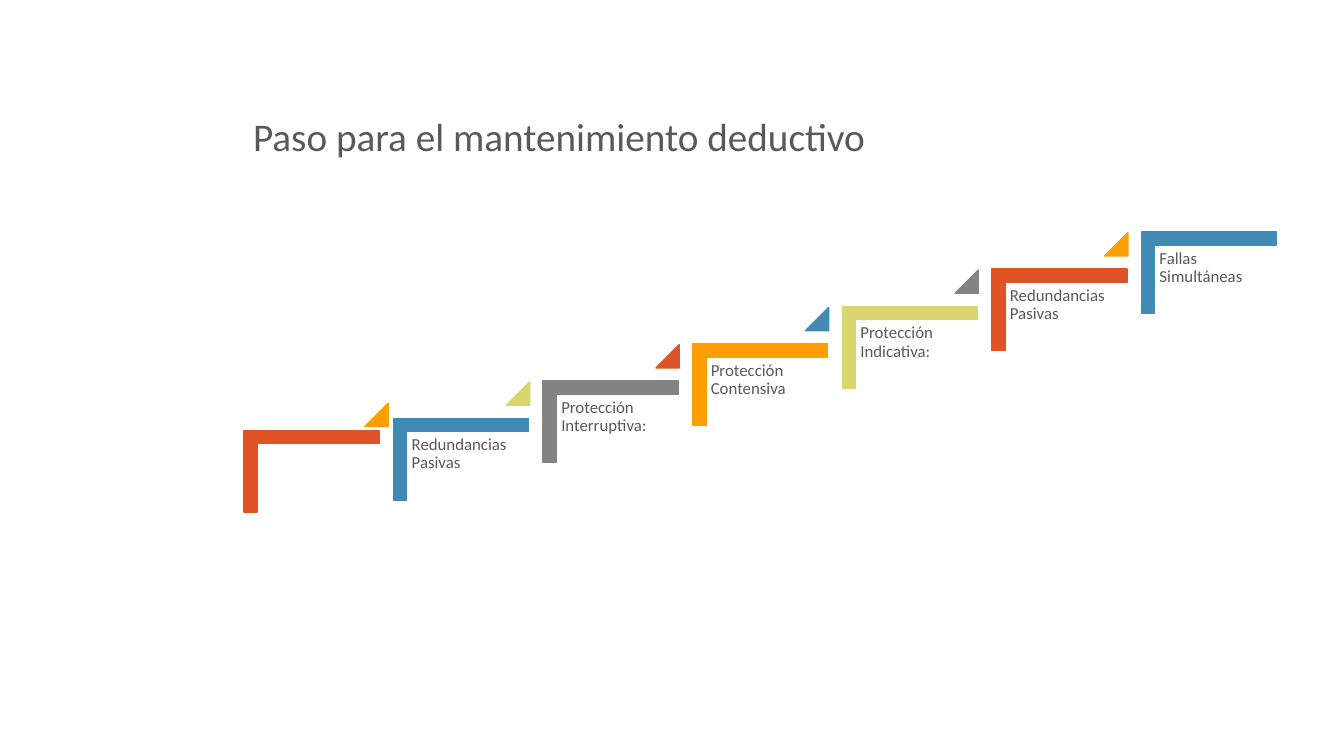
import dataclasses

import pptx
import pptx.dml.color
import pptx.enum.shapes
import pptx.enum.text
import pptx.util

Inches = pptx.util.Inches
SHAPES = pptx.enum.shapes.MSO_SHAPE
ANCHOR = pptx.enum.text.MSO_ANCHOR


@dataclasses.dataclass(frozen=True)
class Theme:
    font: str = "Calibri"
    text: str = "595959"
    title_size: int = 28
    label_size: int = 12
    background: str = "FFFFFF"
    red: str = "DF5327"
    orange: str = "FE9E00"
    blue: str = "418AB3"
    lime: str = "D9D66D"
    gray: str = "838383"


THEME = Theme()

# Label, bracket colour and colour of the triangle leading to the next step
STEPS = [
    ("", THEME.red, THEME.orange),
    ("Redundancias Pasivas", THEME.blue, THEME.lime),
    ("Protección Interruptiva:", THEME.gray, THEME.red),
    ("Protección Contensiva", THEME.orange, THEME.blue),
    ("Protección Indicativa:", THEME.lime, THEME.gray),
    ("Redundancias Pasivas", THEME.red, THEME.orange),
    ("Fallas Simultáneas", THEME.blue, None),
]


def rgb(color):
    return pptx.dml.color.RGBColor.from_string(color)


def format_text(text_frame, size):
    for paragraph in text_frame.paragraphs:
        paragraph.alignment = pptx.enum.text.PP_ALIGN.LEFT
        paragraph.line_spacing = 0.9
        for run in paragraph.runs:
            run.font.name = THEME.font
            run.font.size = pptx.util.Pt(size)
            run.font.color.rgb = rgb(THEME.text)


def add_solid(group, kind, left, top, width, height, color, adjustments):
    shape = group.shapes.add_shape(
        kind, Inches(left), Inches(top), Inches(width), Inches(height))
    shape.shadow.inherit = False
    shape.fill.solid()
    shape.fill.fore_color.rgb = rgb(color)
    shape.line.color.rgb = rgb(color)
    shape.line.width = pptx.util.Pt(1)
    for index, value in enumerate(adjustments):
        shape.adjustments[index] = value
    return shape


def add_title(slide, text, left, top, width, height):
    title = slide.shapes.title
    title.left, title.top = Inches(left), Inches(top)
    title.width, title.height = Inches(width), Inches(height)
    title.text_frame.text = text
    title.text_frame.auto_size = pptx.enum.text.MSO_AUTO_SIZE.NONE
    title.text_frame.vertical_anchor = ANCHOR.BOTTOM
    format_text(title.text_frame, THEME.title_size)


def add_bracket(group, left, top, width, height, color):
    # The quarter turn swaps the sides around a fixed centre
    shift = (width - height) / 2
    bracket = add_solid(group, SHAPES.CORNER, left + shift, top - shift,
                        height, width, color, (0.161, 0.161))
    bracket.rotation = 90


def add_label(group, text, left, top, width, height):
    label = group.shapes.add_textbox(
        Inches(left), Inches(top), Inches(width), Inches(height))
    text_frame = label.text_frame
    text_frame.word_wrap = True
    text_frame.vertical_anchor = ANCHOR.TOP
    text_frame.margin_left = text_frame.margin_right = Inches(0.05)
    text_frame.margin_top = text_frame.margin_bottom = Inches(0.05)
    text_frame.text = text
    format_text(text_frame, THEME.label_size)


def add_staircase(slide, left, top, width, height):
    step_width, step_height = 1.34, 0.81
    run = (width - step_width) / (len(STEPS) - 1)
    rise = 0.37
    group = slide.shapes.add_group_shape()
    for index, (text, color, triangle_color) in enumerate(STEPS):
        step_left = left + index * run
        step_top = top + (len(STEPS) - 1 - index) * rise
        triangle_left, triangle_top = step_left + 1.12, step_top - 0.36
        if index == 0:
            # The lowest step sits at the foot of the box, closer to the next
            step_top = top + height - step_height
            triangle_left, triangle_top = step_left + 1.2, step_top - 0.27
        add_bracket(group, step_left, step_top, step_width, step_height, color)
        if text:
            add_label(group, text, step_left + 0.13, step_top + 0.13, 1.21, 1.06)
        if triangle_color:
            add_solid(group, SHAPES.ISOSCELES_TRIANGLE, triangle_left,
                      triangle_top, 0.23, 0.23, triangle_color, (1,))


def main():
    presentation = pptx.Presentation()
    presentation.slide_width = Inches(13.33)
    presentation.slide_height = Inches(7.5)
    slide = presentation.slides.add_slide(presentation.slide_layouts[5])
    slide.background.fill.solid()
    slide.background.fill.fore_color.rgb = rgb(THEME.background)

    # Title
    add_title(slide, "Paso para el mantenimiento deductivo", 2.41, 0.33, 10.25, 1.31)

    # Rising steps
    add_staircase(slide, 2.42, 2.3, 10.24, 2.78)

    presentation.save("out.pptx")


if __name__ == "__main__":
    main()
